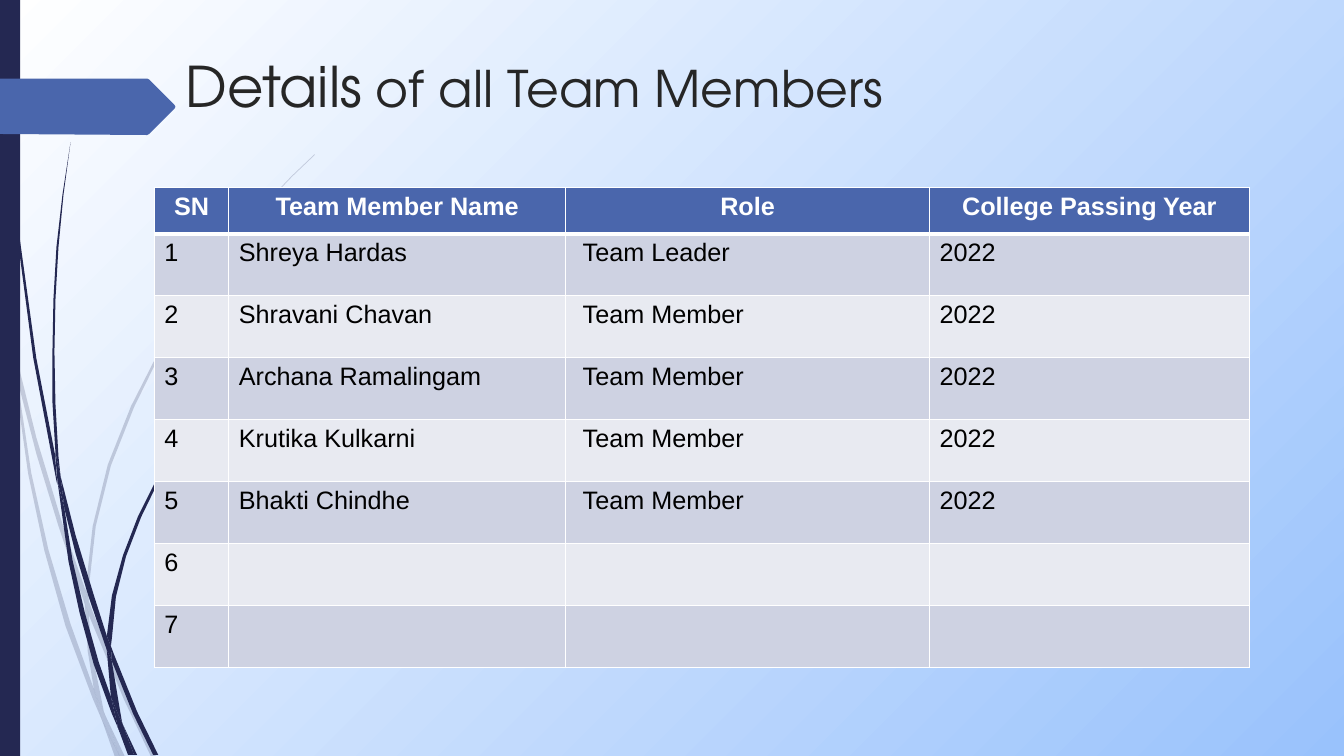
from dataclasses import dataclass

from lxml import etree
from pptx import Presentation
from pptx.dml.color import RGBColor
from pptx.enum.shapes import MSO_SHAPE
from pptx.enum.text import MSO_ANCHOR, MSO_AUTO_SIZE, PP_ALIGN
from pptx.oxml import parse_xml
from pptx.oxml.ns import nsdecls, qn
from pptx.util import Inches, Pt

RECTANGLE = MSO_SHAPE.RECTANGLE
TOP = MSO_ANCHOR.TOP
NO_AUTOFIT = MSO_AUTO_SIZE.NONE
LEFT, CENTER = PP_ALIGN.LEFT, PP_ALIGN.CENTER


@dataclass(frozen=True)
class Theme:
    navy: str = "242852"
    blue: str = "4A66AC"
    white: str = "FFFFFF"
    sky: str = "99C2FC"
    title_ink: str = "262626"
    ink: str = "000000"
    bands: tuple = ("CED2E2", "E8EAF1")
    title_font: str = "TeX Gyre Adventor"
    table_font: str = "Arial"
    title_large: int = 40
    title_small: int = 36
    table_size: int = 18


THEME = Theme()

# Outlines of the grass blades, as x, y corners in inches
PALE_BLADES = [
    [(0.11, 3.5), (0.09, 3.22), (0, 2.82), (0, 2.99), (0.1, 3.44)],
    [(0.58, 5.22), (0.84, 5.99), (0.85, 5.86), (0.62, 5.2), (0.36, 4.34), (0.14, 3.45),
     (0.17, 3.76), (0.36, 4.5)],
    [(0.92, 6.07), (0.88, 5.96), (0.88, 6.1), (1.23, 6.94), (1.5, 7.51), (1.55, 7.51),
     (1.27, 6.92)],
    [(1.19, 7.51), (1.24, 7.51), (1.05, 7.11)],
    [(0.93, 6.83), (0.7, 6.19), (0.48, 5.45), (0.31, 4.69), (0.17, 3.76), (0.11, 3.5),
     (0.28, 4.7), (0.44, 5.46), (0.65, 6.21), (0.92, 6.93), (1.01, 7.14), (0.99, 7.07)],
    [(0.84, 5.99), (0.87, 6.46), (0.93, 6.83), (0.96, 6.92), (1.05, 7.11), (1.03, 7.06),
     (0.91, 6.46), (0.88, 6.1), (0.88, 6.08)],
    [(0.88, 5.84), (0.95, 5.22), (1.1, 4.62), (1.33, 4.04), (1.6, 3.49), (1.93, 2.95),
     (2.29, 2.45), (2.68, 1.98), (2.9, 1.75), (3.12, 1.54), (3.12, 1.53), (2.89, 1.75),
     (2.68, 1.97), (2.28, 2.44), (1.91, 2.94), (1.58, 3.48), (1.3, 4.03), (1.07, 4.61),
     (0.92, 5.22), (0.85, 5.84), (0.85, 5.86), (0.88, 5.96)],
    [(1.01, 7.14), (1.14, 7.51), (1.19, 7.51)],
    [(0.88, 6.08), (0.88, 6.1), (0.88, 5.96), (0.85, 5.86), (0.84, 5.99)],
    [(0.96, 6.92), (0.93, 6.83), (0.99, 7.07), (1.01, 7.14), (1.19, 7.51), (1.05, 7.11)],
]
DARK_BLADES = [
    [(0.07, 1.1), (0.17, 2.33), (0.33, 3.55), (0.56, 4.77), (0.57, 4.81), (0.55, 4.57),
     (0.55, 4.53), (0.36, 3.55), (0.19, 2.32), (0.08, 1.09), (0.05, 0.48), (0.04, 0),
     (0.03, 0), (0.04, 0.48)],
    [(0.88, 5.92), (1.06, 6.45), (1.06, 6.31), (0.93, 5.9), (0.75, 5.31), (0.6, 4.72),
     (0.64, 5.05), (0.75, 5.49)],
    [(1.13, 6.49), (1.1, 6.41), (1.11, 6.56), (1.32, 7.08), (1.52, 7.49), (1.57, 7.49),
     (1.36, 7.06)],
    [(1.1, 6.91), (0.98, 6.57), (0.84, 6.07), (0.72, 5.56), (0.64, 5.05), (0.57, 4.77),
     (0.68, 5.57), (0.79, 6.08), (0.93, 6.59), (1.11, 7.08), (1.17, 7.22), (1.16, 7.17)],
    [(0.6, 4.72), (0.58, 4.53), (0.55, 4.01), (0.54, 3.49), (0.55, 2.97), (0.58, 2.45),
     (0.63, 1.93), (0.7, 1.41), (0.62, 1.93), (0.56, 2.45), (0.53, 2.97), (0.52, 3.49),
     (0.52, 3.99), (0.55, 4.49)],
    [(1.33, 7.49), (1.36, 7.49), (1.22, 7.19)],
    [(0.57, 4.77), (0.64, 5.05), (0.6, 4.72), (0.55, 4.49), (0.55, 4.53)],
    [(1.11, 6.33), (1.15, 5.92), (1.25, 5.52), (1.4, 5.13), (1.58, 4.76), (1.8, 4.4),
     (2.05, 4.06), (2.31, 3.74), (2.45, 3.59), (2.61, 3.44), (2.6, 3.44), (2.45, 3.58),
     (2.31, 3.73), (2.04, 4.05), (1.78, 4.38), (1.56, 4.74), (1.37, 5.12), (1.22, 5.51),
     (1.11, 5.91), (1.06, 6.31), (1.1, 6.41)],
    [(1.17, 7.22), (1.27, 7.49), (1.31, 7.49)],
    [(1.06, 6.45), (1.1, 6.91), (1.16, 7.06), (1.22, 7.19), (1.21, 7.16), (1.11, 6.56),
     (1.09, 6.51)],
    [(1.06, 6.45), (1.09, 6.51), (1.11, 6.56), (1.1, 6.41), (1.06, 6.31)],
    [(1.16, 7.06), (1.1, 6.91), (1.16, 7.17), (1.17, 7.22), (1.3, 7.49), (1.33, 7.49),
     (1.22, 7.19)],
]
ARROW = [(0, 0.78), (1.46, 0.78), (1.48, 0.79), (1.73, 1.04), (1.74, 1.06), (1.73, 1.08),
         (1.48, 1.33), (1.46, 1.34), (0, 1.33)]

HEADINGS = ("SN", "Team Member Name", "Role", "College Passing Year")
MEMBERS = [
    ("Shreya Hardas", "Team Leader", "2022"),
    ("Shravani Chavan", "Team Member", "2022"),
    ("Archana Ramalingam", "Team Member", "2022"),
    ("Krutika Kulkarni", "Team Member", "2022"),
    ("Bhakti Chindhe", "Team Member", "2022"),
    ("", "", ""),
    ("", "", ""),
]
COLUMN_WIDTHS = (0.74, 3.34, 3.61, 3.17)
HEADER_HEIGHT, ROW_HEIGHT = 0.46, 0.615
ROLE_COLUMN = 2


def color(code):
    return RGBColor.from_string(code)


def paint_background(page):
    page.background.fill.solid()
    properties = page.background.fill.fore_color and page.element.cSld.find(
        qn("p:bg") + "/" + qn("p:bgPr"))
    gradient = parse_xml(
        f'<a:gradFill {nsdecls("a")} rotWithShape="1"><a:gsLst>'
        f'<a:gs pos="0"><a:srgbClr val="{THEME.white}"/></a:gs>'
        f'<a:gs pos="100000"><a:srgbClr val="{THEME.sky}"/></a:gs></a:gsLst>'
        '<a:path path="circle"><a:fillToRect r="100000" b="100000"/></a:path></a:gradFill>')
    properties.replace(properties.find(qn("a:solidFill")), gradient)


def fill_plain(shape, code, opacity=100):
    shape.shadow.inherit = False
    shape.line.fill.background()
    shape.fill.solid()
    shape.fill.fore_color.rgb = color(code)
    if opacity < 100:
        for tint in shape.element.spPr.iter(qn("a:srgbClr")):
            etree.SubElement(tint, qn("a:alpha"), val=str(opacity * 1000))


def add_outline(page, corners, code, opacity=100):
    points = [(Inches(x), Inches(y)) for x, y in corners]
    builder = page.shapes.build_freeform(*points[0])
    builder.add_line_segments(points[1:], close=True)
    fill_plain(builder.convert_to_shape(), code, opacity)


def set_font(span, name, size, code, bold=False):
    span.font.name = name
    span.font.size = Pt(size)
    span.font.color.rgb = color(code)
    span.font.bold = bold


def set_title(page):
    title = page.shapes.title
    title.left, title.top = Inches(1.74), Inches(0.46)
    title.width, title.height = Inches(7.86), Inches(1.4)
    frame = title.text_frame
    frame.vertical_anchor, frame.auto_size = TOP, NO_AUTOFIT
    para = frame.paragraphs[0]
    para.alignment = LEFT
    for words, size in (("Details", THEME.title_large),
                        (" of all Team Members", THEME.title_small)):
        span = para.add_run()
        span.text = words
        set_font(span, THEME.title_font, size, THEME.title_ink)


def set_borders(cell, bottom):
    for side, width in (("L", 1), ("R", 1), ("T", 1), ("B", bottom)):
        cell._tc.get_or_add_tcPr().append(parse_xml(
            f'<a:ln{side} {nsdecls("a")} w="{Pt(width)}"><a:solidFill>'
            f'<a:srgbClr val="{THEME.white}"/></a:solidFill></a:ln{side}>'))


def set_cell(cell, words, is_header, fill):
    set_borders(cell, 3 if is_header else 1)
    cell.fill.solid()
    cell.fill.fore_color.rgb = color(fill)
    cell.text_frame.text = words
    para = cell.text_frame.paragraphs[0]
    para.alignment = CENTER if is_header else LEFT
    set_font(para, THEME.table_font, THEME.table_size,
             THEME.white if is_header else THEME.ink, is_header)


def add_team_table(page):
    rows = [HEADINGS] + [(str(n), *member) for n, member in enumerate(MEMBERS, 1)]
    height = HEADER_HEIGHT + ROW_HEIGHT * len(MEMBERS)
    table = page.shapes.add_table(
        len(rows), len(HEADINGS), Inches(1.53), Inches(1.86),
        Inches(sum(COLUMN_WIDTHS)), Inches(height)).table
    for column, width in zip(table.columns, COLUMN_WIDTHS):
        column.width = Inches(width)
    for r, row in enumerate(rows):
        is_header = r == 0
        table.rows[r].height = Inches(HEADER_HEIGHT if is_header else ROW_HEIGHT)
        fill = THEME.blue if is_header else THEME.bands[(r - 1) % 2]
        for c, words in enumerate(row):
            set_cell(table.cell(r, c), words, is_header, fill)
        if not is_header:
            table.cell(r, ROLE_COLUMN).margin_left = Inches(0.17)


def main():
    deck = Presentation()
    deck.slide_width, deck.slide_height = Inches(13.33), Inches(7.5)
    page = deck.slides.add_slide(deck.slide_layouts[5])
    paint_background(page)
    # Decoration on the left
    for blade in PALE_BLADES:
        add_outline(page, blade, THEME.navy, opacity=20)
    for blade in DARK_BLADES:
        add_outline(page, blade, THEME.navy)
    bar = page.shapes.add_shape(RECTANGLE, 0, 0, Inches(0.2), Inches(7.5))
    fill_plain(bar, THEME.navy)
    add_outline(page, ARROW, THEME.blue)
    # Content
    set_title(page)
    add_team_table(page)
    deck.save("out.pptx")


if __name__ == "__main__":
    main()
